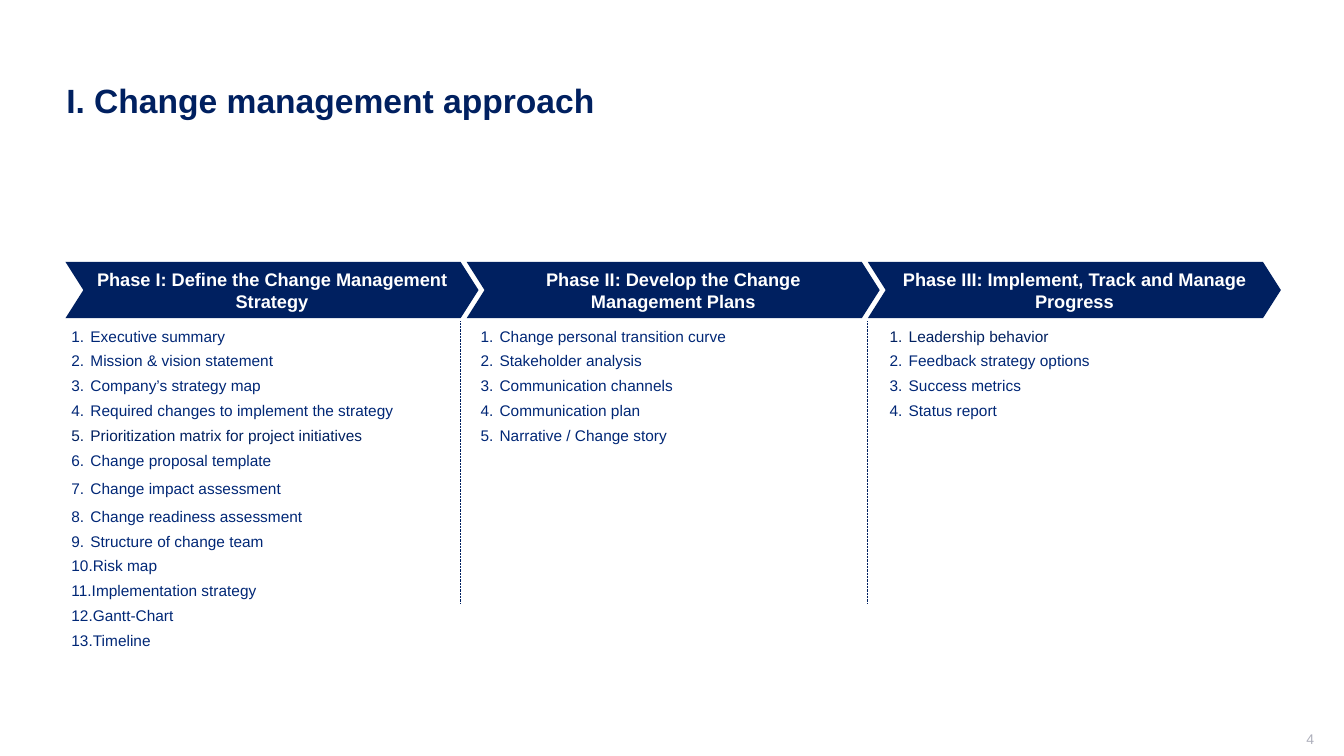
from lxml.etree import SubElement
from pptx import Presentation
from pptx.dml.color import RGBColor
from pptx.enum.dml import MSO_LINE
from pptx.enum.shapes import MSO_CONNECTOR, MSO_SHAPE
from pptx.enum.text import MSO_ANCHOR, MSO_AUTO_SIZE, PP_ALIGN
from pptx.oxml.ns import qn
from pptx.util import Cm, Pt

NAVY, BLUE, WHITE, GREY = "002060", "002776", "FFFFFF", "ADAFBB"


def tint(code):
    return RGBColor.from_string(code)


def write(shape, lines, size=11, color=BLUE, bold=False, align=PP_ALIGN.LEFT,
          anchor=MSO_ANCHOR.MIDDLE, inset=(0.25, 0.13, 0.25, 0.13),
          listed=False, marks=(), wide=()):
    """Fill a shape; marks are lines in navy, wide are lines with more space."""
    frame = shape.text_frame
    frame.text = "\n".join(lines)
    frame.word_wrap = True
    frame.auto_size = MSO_AUTO_SIZE.NONE
    frame.vertical_anchor = anchor
    (frame.margin_left, frame.margin_top,
     frame.margin_right, frame.margin_bottom) = map(Cm, inset)
    for row, para in enumerate(frame.paragraphs):
        para.alignment = align
        gap = Pt(0 if not listed else 4.3 if row in wide else 2.3)
        para.space_before = gap if row else Pt(0)
        para.space_after = gap
        if listed:
            props = para._p.get_or_add_pPr()
            props.set("marL", str(Cm(0.48)))
            props.set("indent", str(-Cm(0.48)))
            SubElement(props, qn("a:buFont"), typeface="Arial")
            SubElement(props, qn("a:buAutoNum"), type="arabicPeriod")
        font = para.runs[0].font
        font.name, font.size, font.bold = "Arial", Pt(size), bold
        font.color.rgb = tint(NAVY if row in marks else color)


deck = Presentation()
deck.slide_width, deck.slide_height = Cm(33.87), Cm(19.05)
slide = deck.slides.add_slide(deck.slide_layouts.get_by_name("Comparison"))
shapes, holders = slide.shapes, slide.placeholders

title = shapes.title
title.left, title.top, title.width, title.height = map(Cm, (1.42, 1.02, 30.76, 3.02))
write(title, ["I. Change management approach"], size=24, color=NAVY, bold=True)

page = shapes.add_textbox(Cm(25.5), Cm(18.42), Cm(7.62), Cm(0.53))
write(page, ["4"], size=10, color=GREY, align=PP_ALIGN.RIGHT, inset=(0.25, 0, 0, 0.13))

heads = [
    "Phase I: Define the Change Management Strategy",
    "Phase II: Develop the Change Management Plans",
    "Phase III: Implement, Track and Manage Progress",
]
for col, head in enumerate(heads):
    phase = shapes.add_shape(MSO_SHAPE.CHEVRON, Cm(1.65 + 10.11 * col), Cm(6.6),
                             Cm(10.41), Cm(1.42))
    phase.adjustments[0] = 0.318
    phase.shadow.inherit = False
    phase.fill.solid()
    phase.fill.fore_color.rgb = tint(NAVY)
    phase.line.fill.background()
    write(phase, [head], size=13, color=WHITE, bold=True, align=PP_ALIGN.CENTER,
          inset=(0.2, 0.13, 0.2, 0.13))

# placeholder, left, width, left inset, navy lines, wide lines, items
lists = [
    (1, 1.8, 9.65, 0, (4,), (6,), [
        "Executive summary",
        "Mission & vision statement",
        "Company’s strategy map",
        "Required changes to implement the strategy",
        "Prioritization matrix for project initiatives",
        "Change proposal template",
        "Change impact assessment",
        "Change readiness assessment",
        "Structure of change team",
        "Risk map",
        "Implementation strategy",
        "Gantt-Chart",
        "Timeline",
    ]),
    (2, 11.86, 9.6, 0.25, (), (), [
        "Change personal transition curve",
        "Stakeholder analysis",
        "Communication channels",
        "Communication plan",
        "Narrative / Change story",
    ]),
    (4, 22.17, 10.11, 0.25, (0,), (), [
        "Leadership behavior",
        "Feedback strategy options",
        "Success metrics",
        "Status report",
    ]),
]
for key, left, width, pad, marks, wide, items in lists:
    body = holders[key]
    body.left, body.top, body.width = Cm(left), Cm(8.1), Cm(width)
    body.height = Cm(0.35 + 0.61 * len(items))
    write(body, items, anchor=MSO_ANCHOR.TOP, inset=(pad, 0.13, 0.25, 0.13),
          listed=True, marks=marks, wide=wide)

spare = holders[3].element
spare.getparent().remove(spare)

for x in (11.61, 21.87):
    rule = shapes.add_connector(MSO_CONNECTOR.STRAIGHT, Cm(x), Cm(8.1), Cm(x), Cm(15.21))
    rule.line.color.rgb = tint(NAVY)
    rule.line.width = Pt(0.5)
    rule.line.dash_style = MSO_LINE.ROUND_DOT
    SubElement(rule.element.spPr, qn("a:effectLst"))

deck.save("out.pptx")
